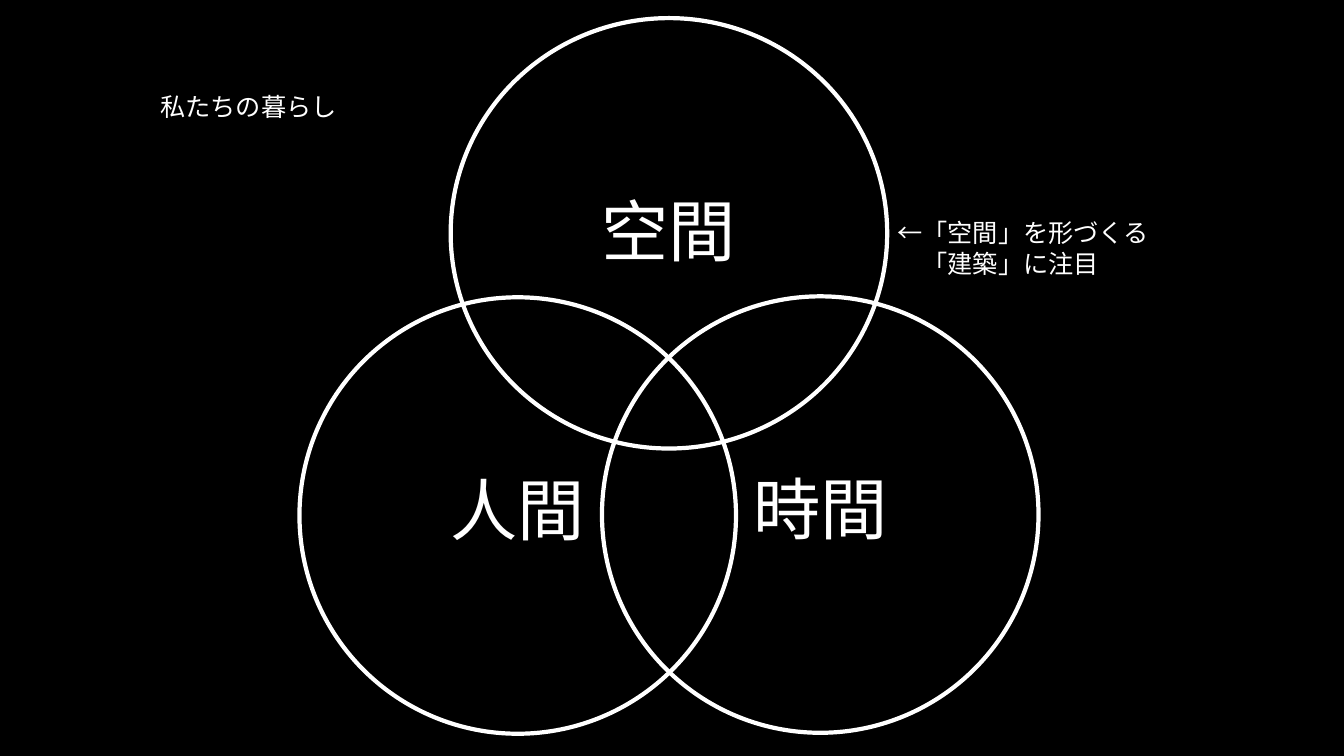
from pptx import Presentation
from pptx.dml.color import RGBColor
from pptx.enum.shapes import MSO_SHAPE as SHAPE
from pptx.enum.text import MSO_ANCHOR as ANCHOR, MSO_AUTO_SIZE as AUTO, PP_ALIGN as ALIGN
from pptx.util import Inches, Pt

BLACK = RGBColor(0x00, 0x00, 0x00)
WHITE = RGBColor(0xFF, 0xFF, 0xFF)

LABEL_W, LABEL_H, LABEL_DROP = 19.13, 13.4, 22


class Deck:
    """Holds the style and the current slide; lengths are percent of its size."""

    big = {"name": "Calibri", "size": Pt(48), "bold": False}
    small = {"name": "Calibri", "size": Pt(18), "bold": False}

    def __init__(self):
        self.prs = Presentation()
        self.prs.slide_width, self.prs.slide_height = Inches(13.33), Inches(7.5)
        self.slide = self.prs.slides.add_slide(self.prs.slide_layouts[5])
        fill = self.slide.background.fill
        fill.solid()
        fill.fore_color.rgb = BLACK

    def box(self, x, y, w, h):
        sw, sh = self.prs.slide_width, self.prs.slide_height
        return [round(v * s / 100) for v, s in zip((x, y, w, h), (sw, sh, sw, sh))]

    def set_text(self, sp, lines, style, align=ALIGN.LEFT, wrap=False, auto=AUTO.SHAPE_TO_FIT_TEXT):
        tf = sp.text_frame
        frame = {"word_wrap": wrap, "auto_size": auto, "vertical_anchor": ANCHOR.TOP}
        for key, value in frame.items():
            setattr(tf, key, value)
        for i, line in enumerate(lines):
            p = tf.add_paragraph() if i else tf.paragraphs[0]
            p.alignment = align
            r = p.add_run()
            r.text = line
            for key, value in style.items():
                setattr(r.font, key, value)
            r.font.color.rgb = WHITE

    def title(self, text, x, y, w, h):
        sp = self.slide.shapes.title
        sp.left, sp.top, sp.width, sp.height = self.box(x, y, w, h)
        self.set_text(sp, [text], self.small, auto=AUTO.NONE)

    def note(self, lines, x, y, w, h):
        sp = self.slide.shapes.add_textbox(*self.box(x, y, w, h))
        self.set_text(sp, lines, self.small)

    def circle(self, text, x, y, w, h):
        shapes = self.slide.shapes.add_group_shape().shapes
        ring = shapes.add_shape(SHAPE.OVAL, *self.box(x, y, w, h))
        ring.shadow.inherit = False
        ring.fill.background()
        ring.line.color.rgb = WHITE
        ring.line.width = Pt(3)
        label = shapes.add_textbox(
            *self.box(x + (w - LABEL_W) / 2, y + LABEL_DROP, LABEL_W, LABEL_H))
        self.set_text(label, [text], self.big, ALIGN.CENTER, wrap=True)


def main():
    deck = Deck()

    # Three overlapping circles
    for text, x, y, h in [
        ("空間", 33.53, 2.4, 56.93),
        ("時間", 44.79, 39.2, 57.73),
        ("人間", 22.28, 39.33, 57.73),
    ]:
        deck.circle(text, x, y, 32.48, h)

    # Remark beside the top circle
    deck.note(["←「空間」を形づくる", "　「建築」に注目"], 66.02, 28.13, 20.26, 9.47)

    # Heading
    deck.title("私たちの暮らし", 11.18, 11.47, 14.78, 5.33)

    deck.prs.save("out.pptx")


if __name__ == "__main__":
    main()
